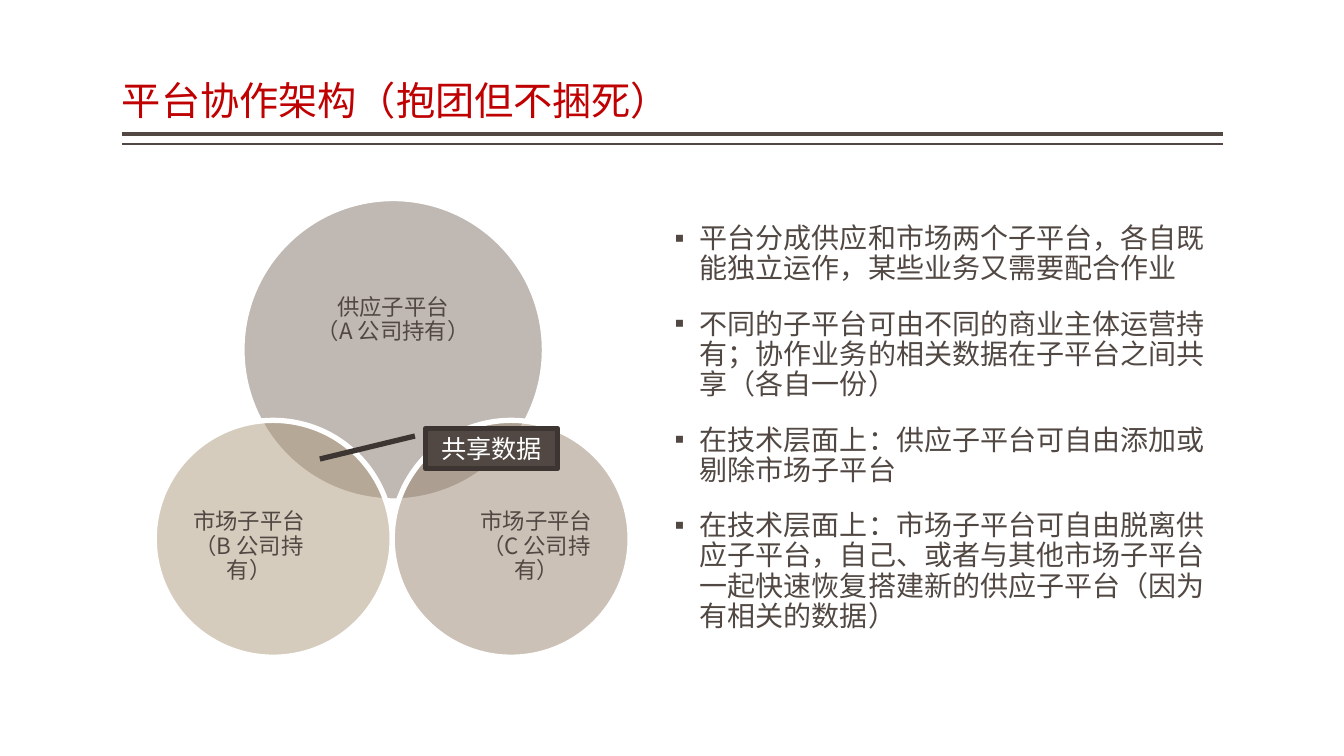
import dataclasses

import lxml.etree
import pptx
import pptx.dml.color
import pptx.enum.shapes
import pptx.enum.text
import pptx.oxml.ns
import pptx.util

SHAPE = pptx.enum.shapes.MSO_SHAPE
ALIGN = pptx.enum.text.PP_ALIGN
ANCHOR = pptx.enum.text.MSO_ANCHOR
EMU_PER_PX = 9144  # 100 px to the inch


def px(length):
    return pptx.util.Emu(length * EMU_PER_PX)


def rgb(value):
    return pptx.dml.color.RGBColor.from_string(value)


def add_xml(parent, tag, **attributes):
    element = lxml.etree.SubElement(parent, pptx.oxml.ns.qn(tag))
    for name, value in attributes.items():
        element.set(name, value)
    return element


@dataclasses.dataclass(frozen=True)
class Theme:
    font: str = "Noto Sans CJK SC"
    callout_font: str = "Arial"
    title: str = "BF0102"
    ink: str = "514843"
    callout_line: str = "3C3532"
    white: str = "FFFFFF"
    supply: str = "827266"
    market_b: str = "AE9A7E"
    market_c: str = "9A8570"
    title_size: int = 28
    body_size: int = 20
    callout_size: int = 18
    label_size: int = 16
    outline: float = 3.78
    line_spacing: float = 0.9


class SlideBuilder:
    def __init__(self, presentation, theme):
        self.theme = theme
        self.slide = presentation.slides.add_slide(presentation.slide_layouts[5])

    def format_frame(self, frame, anchor, margin_y=0):
        frame.word_wrap = True
        frame.auto_size = pptx.enum.text.MSO_AUTO_SIZE.NONE
        frame.vertical_anchor = anchor
        frame.margin_left = frame.margin_right = 0
        frame.margin_top = frame.margin_bottom = px(margin_y)

    def format_paragraph(self, paragraph, size, color, alignment=ALIGN.LEFT, font=None):
        paragraph.alignment = alignment
        paragraph.line_spacing = self.theme.line_spacing
        for run in paragraph.runs:
            run.font.size = pptx.util.Pt(size)
            run.font.color.rgb = rgb(color)
            run.font.name = font or self.theme.font
            add_xml(run.font._element, "a:ea", typeface=self.theme.font)

    def title(self, text, left, top, width, height):
        shape = self.slide.shapes.title
        shape.left, shape.top, shape.width, shape.height = map(px, (left, top, width, height))
        shape.text_frame.text = text
        self.format_frame(shape.text_frame, ANCHOR.BOTTOM, 5)
        self.format_paragraph(shape.text_frame.paragraphs[0], self.theme.title_size, self.theme.title)

    def rule(self, left, right, y, weight):
        line = self.slide.shapes.add_connector(
            pptx.enum.shapes.MSO_CONNECTOR.STRAIGHT, px(left), px(y), px(right), px(y))
        line.line.color.rgb = rgb(self.theme.ink)
        line.line.width = pptx.util.Pt(weight)
        add_xml(line._element.spPr, "a:effectLst")

    def shape(self, kind, box, fill, outline):
        shape = self.slide.shapes.add_shape(kind, *map(px, box))
        shape.shadow.inherit = False
        shape.fill.solid()
        shape.fill.fore_color.rgb = rgb(fill)
        shape.line.color.rgb = rgb(outline)
        shape.line.width = pptx.util.Pt(self.theme.outline)
        return shape

    def circle(self, box, fill):
        """Draw a half-transparent circle."""
        shape = self.shape(SHAPE.OVAL, box, fill, self.theme.white)
        color = shape._element.spPr.find(".//" + pptx.oxml.ns.qn("a:srgbClr"))
        add_xml(color, "a:alpha", val="50000")

    def label(self, text, box):
        frame = self.slide.shapes.add_textbox(*map(px, box)).text_frame
        self.format_frame(frame, ANCHOR.MIDDLE)
        paragraph = frame.paragraphs[0]
        paragraph.text = text
        self.format_paragraph(paragraph, self.theme.label_size, self.theme.ink, ALIGN.CENTER)

    def bullets(self, items, box):
        frame = self.slide.shapes.add_textbox(*map(px, box)).text_frame
        frame.text = "\n".join(items)
        self.format_frame(frame, ANCHOR.MIDDLE, 5)
        for paragraph in frame.paragraphs:
            self.format_paragraph(paragraph, self.theme.body_size, self.theme.ink)
            paragraph.space_before = pptx.util.Pt(18)
            properties = paragraph._p.get_or_add_pPr()
            properties.set("marL", str(px(25)))
            properties.set("indent", str(px(-25)))
            add_xml(properties, "a:buFont", typeface="Arial")
            add_xml(properties, "a:buChar", char="▪")

    def callout(self, text, box, pointer):
        """Draw a callout; pointer holds y, x of both line ends as shares of the box."""
        shape = self.shape(SHAPE.LINE_CALLOUT_1, box, self.theme.ink, self.theme.callout_line)
        for index, share in enumerate(pointer):
            shape.adjustments[index] = share
        shape.text_frame.text = text
        self.format_frame(shape.text_frame, ANCHOR.MIDDLE, 5)
        paragraph = shape.text_frame.paragraphs[0]
        self.format_paragraph(paragraph, self.theme.callout_size, self.theme.white,
                              ALIGN.CENTER, self.theme.callout_font)
        paragraph.line_spacing = 1.0


def main():
    presentation = pptx.Presentation()
    presentation.slide_width, presentation.slide_height = px(1333), px(750)
    theme = Theme()
    builder = SlideBuilder(presentation, theme)

    for y, weight in ((133, 3), (143, 1)):
        builder.rule(121, 1213, y, weight)
    builder.title("平台协作架构（抱团但不捆死）", 121, 8, 1092, 120)
    builder.bullets((
        "平台分成供应和市场两个子平台，各自既能独立运作，某些业务又需要配合作业",
        "不同的子平台可由不同的商业主体运营持有；协作业务的相关数据在子平台之间共享（各自一份）",
        "在技术层面上：供应子平台可自由添加或剔除市场子平台",
        "在技术层面上：市场子平台可自由脱离供应子平台，自己、或者与其他市场子平台"
        "一起快速恢复搭建新的供应子平台（因为有相关的数据）",
    ), (669, 175, 538, 500))

    platforms = (
        ("供应子平台\n（A 公司持有）", theme.supply, (240, 197, 300, 300), (280, 250, 220, 135)),
        ("市场子平台\n（C 公司持有）", theme.market_c, (389, 417, 236, 235), (461, 478, 142, 129)),
        ("市场子平台\n（B 公司持有）", theme.market_b, (153, 417, 236, 235), (176, 478, 142, 129)),
    )
    for text, fill, circle_box, label_box in platforms:
        builder.circle(circle_box, fill)
        builder.label(text, label_box)
    builder.callout("共享数据", (422, 425, 131, 40), (0.19, -0.08, 0.76, -0.8))

    presentation.save("out.pptx")


if __name__ == "__main__":
    main()
